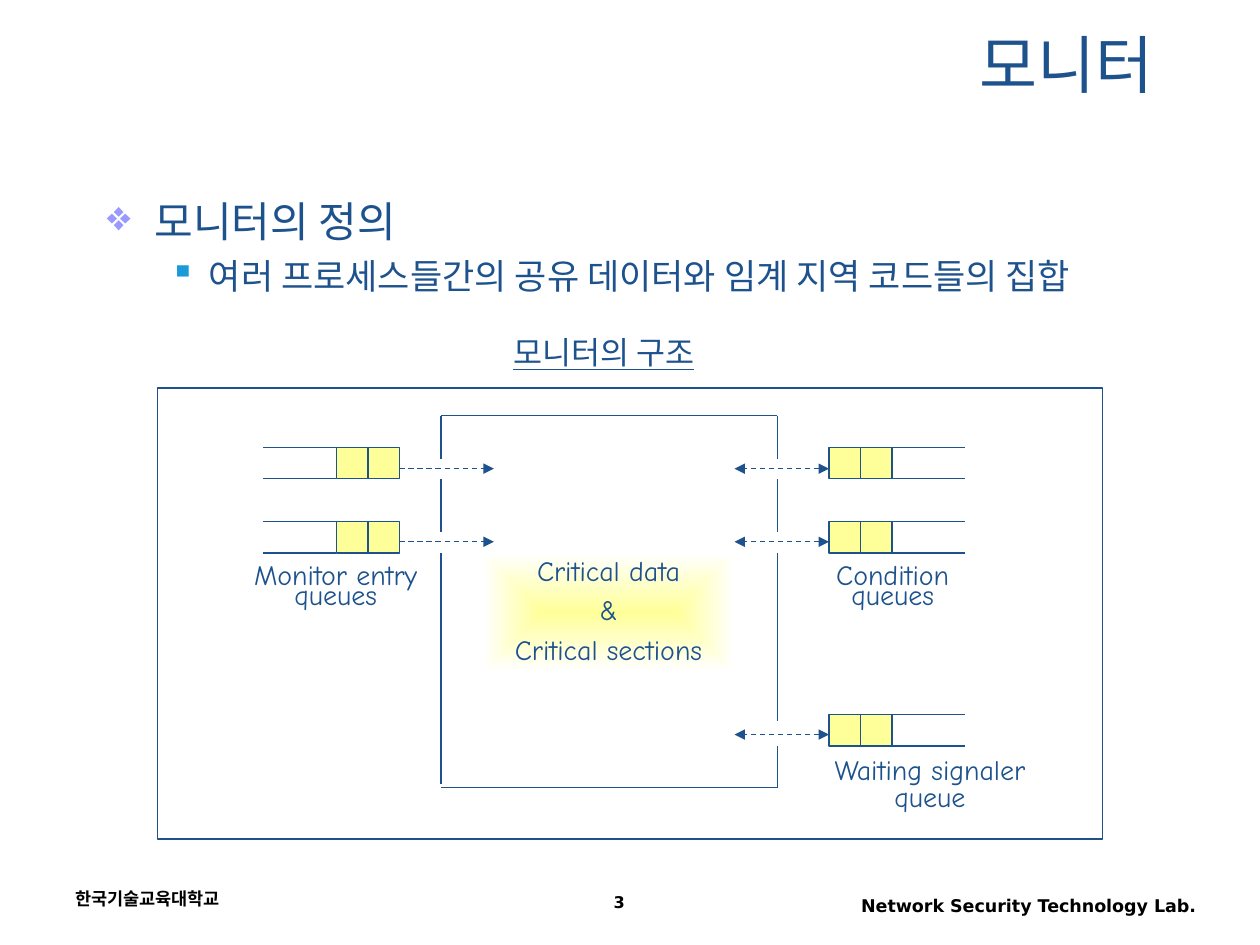
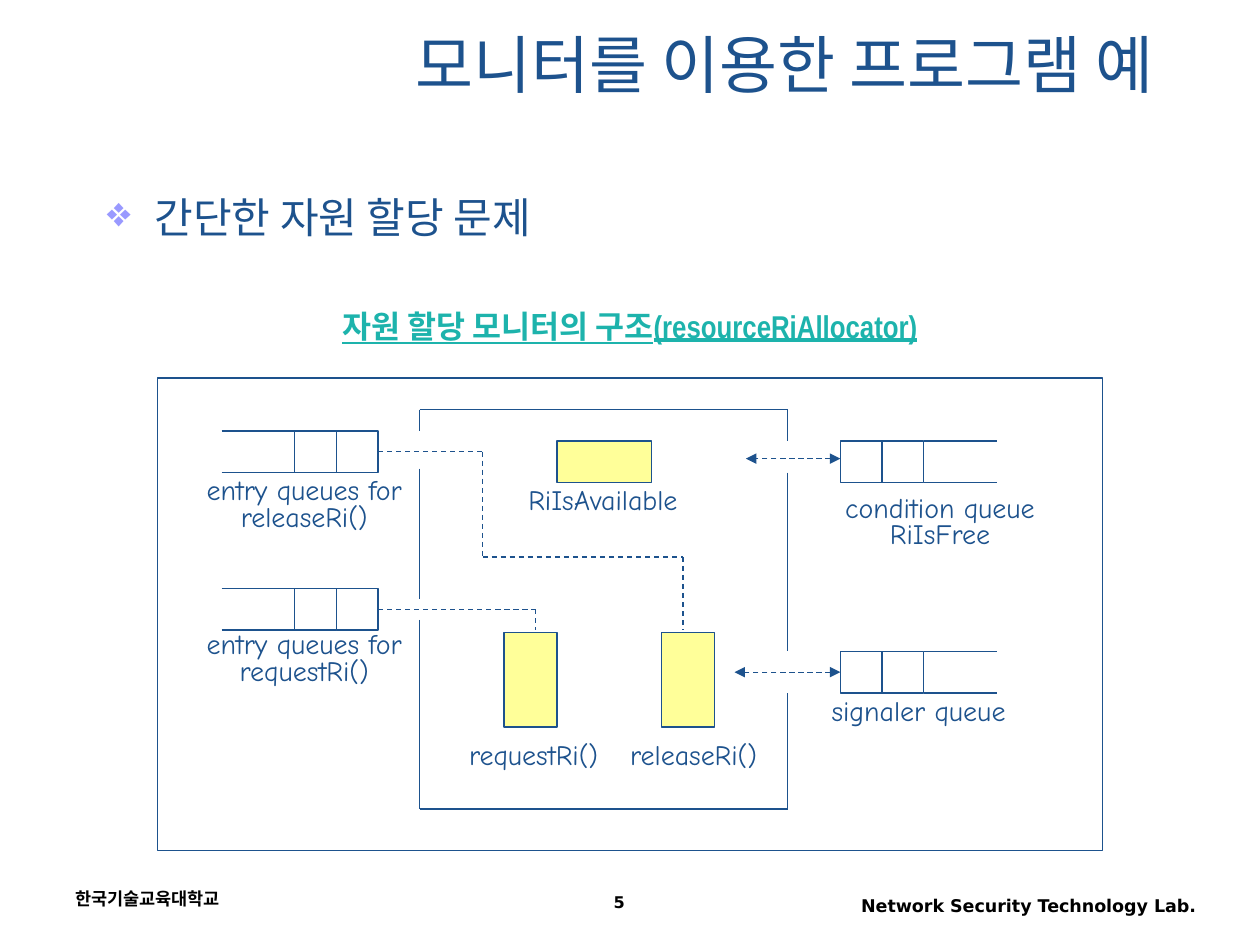
from lxml import etree
from pptx import Presentation
from pptx.dml.color import RGBColor
from pptx.enum.dml import MSO_LINE
from pptx.enum.shapes import MSO_CONNECTOR, MSO_SHAPE
from pptx.enum.text import MSO_ANCHOR, PP_ALIGN
from pptx.oxml.ns import qn
from pptx.util import Inches, Pt

# Shared look
COLORS = {"navy": "1D528D", "teal": "1DB3AC", "yellow": "FFFF99", "white": "FFFFFF",
          "black": "000000", "lilac": "9999FF", "sky": "1B9AD9"}
KOREAN, FOOTER, HEADING, LABEL = "Noto Sans CJK KR", "DejaVu Sans", "Arial Narrow", "Comic Neue"
ALIGN = {"left": PP_ALIGN.LEFT, "center": PP_ALIGN.CENTER, "right": PP_ALIGN.RIGHT}
# Body levels: mark, mark colour, text size, left margin, hanging indent, space before
LEVELS = [("❖", "lilac", 24, 0.38, 0.38, 6), ("▪", "sky", 20, 0.81, 0.31, 5)]
RAIL = 0.58  # length of the open end of a queue

# Queues: side, left of cells, top, exit height (None = middle), heads, and the
# path from the cell as alternating horizontal and vertical targets
# Labels: text, box, line spacing, wrap
PAGES = [
    {
        "number": "3",
        "title": "모니터",
        "body_box": (0.75, 1.5, 8.67, 0.92),
        "body": ["모니터의 정의", "여러 프로세스들간의 공유 데이터와 임계 지역 코드들의 집합"],
        "heading": ("모니터의 구조", (3.33, 2.67, 2.92, 0.25), {"color": "navy"}),
        "frame": (1.25, 3.08, 7.5, 3.58),
        "chamber": {
            "left": 3.5, "right": 6.17, "top": 3.3, "bottom": 6.25,
            "left_walls": [(3.3, 3.64), (3.8, 4.22), (4.39, 6.22)],
            "right_walls": [(3.3, 3.64), (3.8, 4.22), (4.39, 5.72), (5.92, 6.25)],
        },
        "cell": 0.25,
        "cell_fill": "yellow",
        "queues": [
            ("left", 2.67, 3.55, 3.72, "far", [3.92]),
            ("left", 2.67, 4.14, 4.3, "far", [3.92]),
            ("right", 6.58, 3.55, 3.72, "both", [5.83]),
            ("right", 6.58, 4.14, 4.3, "both", [5.83]),
            ("right", 6.58, 5.67, 5.83, "both", [5.83]),
        ],
        "blocks": [],
        "glow": ((3.83, 4.39, 2, 0.94),
                 [("Critical data", 0.8), ("&", 0.6), ("Critical sections", 0.7)]),
        "labels": [
            ("Monitor entry queues", (1.83, 4.47, 1.67, 0.42), 0.6, True),
            ("Condition queues", (6.42, 4.47, 1.33, 0.42), 0.6, True),
            ("Waiting signaler queue", (6.42, 5.97, 1.92, 0.53), 0.8, True),
        ],
    },
    {
        "number": "5",
        "title": "모니터를 이용한 프로그램 예",
        "body_box": (0.75, 1.47, 8.5, 0.67),
        "body": ["간단한 자원 할당 문제"],
        "heading": ("자원 할당 모니터의 구조(resourceRiAllocator)", (2.25, 2.42, 5.5, 0.33),
                    {"color": "teal", "bold": True}),
        "frame": (1.25, 3, 7.5, 3.75),
        "chamber": {
            "left": 3.33, "right": 6.25, "top": 3.25, "bottom": 6.42,
            "left_walls": [(3.25, 3.42), (3.72, 4.75), (4.92, 6.42)],
            "right_walls": [(3.25, 3.5), (3.75, 5.17), (5.5, 6.42)],
        },
        "cell": 0.33,
        "cell_fill": None,
        "queues": [
            ("left", 2.34, 3.42, None, "none", [3.83, 4.42, 5.42, 5]),
            ("left", 2.34, 4.67, None, "none", [4.25, 5]),
            ("right", 6.67, 3.5, 3.64, "both", [5.92]),
            ("right", 6.67, 5.17, None, "both", [5.83]),
        ],
        "blocks": [(4.42, 3.5, 0.75, 0.33), (4, 5.02, 0.42, 0.75), (5.25, 5.02, 0.42, 0.75)],
        "glow": None,
        "labels": [
            ("entry queues for releaseRi()", (1.5, 3.75, 1.83, 0.53), 0.8, True),
            ("entry queues for requestRi()", (1.5, 4.97, 1.83, 0.53), 0.8, True),
            ("condition queue RiIsFree", (6.42, 3.89, 2.08, 0.53), 0.8, True),
            ("signaler queue", (6.33, 5.5, 1.92, 0.32), 0.8, True),
            ("RiIsAvailable", (4.09, 3.83, 1.39, 0.32), 0.8, False),
            ("requestRi()", (3.62, 5.85, 1.23, 0.32), 0.8, False),
            ("releaseRi()", (4.9, 5.85, 1.21, 0.32), 0.8, False),
        ],
    },
]


def rgb(name):
    return RGBColor.from_string(COLORS[name])


# Text
def write(para, text, size=16, font=LABEL, color="navy", bold=False, underline=False,
          align="left", spacing=None, before=0):
    para.alignment = ALIGN[align]
    para.space_before = Pt(before)
    if spacing:
        para.line_spacing = spacing
    span = para.add_run()
    span.text = text
    span.font.size, span.font.name = Pt(size), font
    span.font.bold, span.font.underline = bold, underline
    span.font.color.rgb = rgb(color)
    east_asian = etree.SubElement(span.font._element, qn("a:ea"))
    east_asian.set("typeface", KOREAN)


def add_text(page, text, area, anchor=MSO_ANCHOR.TOP, wrap=True, **style):
    box = page.shapes.add_textbox(*map(Inches, area))
    frame = box.text_frame
    frame.word_wrap, frame.vertical_anchor = wrap, anchor
    write(frame.paragraphs[0], text, **style)


def add_body(page, lines, area):
    frame = page.shapes.add_textbox(*map(Inches, area)).text_frame
    frame.word_wrap = True
    for level, text in enumerate(lines):
        mark, mark_color, size, margin, hanging, before = LEVELS[level]
        para = frame.add_paragraph() if level else frame.paragraphs[0]
        para.level = level
        properties = para._p.get_or_add_pPr()
        properties.set("marL", str(Inches(margin)))
        properties.set("indent", str(-Inches(hanging)))
        tint = etree.SubElement(properties, qn("a:buClr"))
        etree.SubElement(tint, qn("a:srgbClr")).set("val", COLORS[mark_color])
        etree.SubElement(properties, qn("a:buChar")).set("char", mark)
        write(para, text, size=size, font=KOREAN, before=before if level else 0)


# Shapes and lines
def add_rectangle(page, area, fill=None, outlined=True):
    shape = page.shapes.add_shape(MSO_SHAPE.RECTANGLE, *map(Inches, area))
    shape.shadow.inherit = False
    if fill:
        shape.fill.solid()
        shape.fill.fore_color.rgb = rgb(fill)
    else:
        shape.fill.background()
    if outlined:
        shape.line.color.rgb = rgb("navy")
        shape.line.width = Pt(0.75)
    else:
        shape.line.fill.background()
    return shape


def add_line(page, start, end, dashed=False, heads=()):
    line = page.shapes.add_connector(MSO_CONNECTOR.STRAIGHT, *map(Inches, (*start, *end)))
    line.line.color.rgb = rgb("navy")
    line.line.width = Pt(0.75)
    if dashed:
        line.line.dash_style = MSO_LINE.DASH
    for head in heads:
        etree.SubElement(line.line._get_or_add_ln(), qn(f"a:{head}")).set("type", "triangle")
    etree.SubElement(line._element.spPr, qn("a:effectLst"))
    return line


def add_glow(page, area, lines):
    shape = add_rectangle(page, area, outlined=False)
    shape.fill.gradient()
    for stop, color in zip(shape.fill.gradient_stops, ("yellow", "white")):
        stop.color.rgb = rgb(color)
    gradient = shape._element.spPr.find(qn("a:gradFill"))
    gradient.remove(gradient.find(qn("a:lin")))
    spread = etree.SubElement(gradient, qn("a:path"))
    spread.set("path", "rect")
    center = etree.SubElement(spread, qn("a:fillToRect"))
    for edge in "ltrb":
        center.set(edge, "50000")
    frame = shape.text_frame
    frame.word_wrap, frame.vertical_anchor = True, MSO_ANCHOR.MIDDLE
    for index, (text, spacing) in enumerate(lines):
        para = frame.add_paragraph() if index else frame.paragraphs[0]
        write(para, text, align="center", spacing=spacing, before=10 if index else 0)


# Diagram parts
def add_chamber(page, chamber):
    for side in ("left", "right"):
        for top, bottom in chamber[f"{side}_walls"]:
            add_line(page, (chamber[side], top), (chamber[side], bottom))
    for edge in ("top", "bottom"):
        add_line(page, (chamber["left"], chamber[edge]), (chamber["right"], chamber[edge]))


def add_queue(page, size, fill, side, left, top, exit_y, heads, moves):
    cells = [add_rectangle(page, (left + index * size, top, size, size), fill)
             for index in range(2)]
    right = left + 2 * size
    rail = (left - RAIL, left) if side == "left" else (right, right + RAIL)
    for y in (top, top + size):
        add_line(page, (rail[0], y), (rail[1], y))

    # The path leaves the cell that faces the chamber
    point = (right if side == "left" else left, exit_y or top + size / 2)
    ends = {"none": (), "far": ("tailEnd",), "both": ("headEnd", "tailEnd")}[heads]
    for step, target in enumerate(moves):
        following = (point[0], target) if step % 2 else (target, point[1])
        line = add_line(page, point, following, dashed=True, heads=ends)
        if step == 0 and exit_y is None:
            if side == "left":
                line.begin_connect(cells[1], 3)
            else:
                line.begin_connect(cells[0], 1)
        point = following


def add_page(deck, content):
    page = deck.slides.add_slide(deck.slide_layouts[6])
    # Footer and title
    footer = {"font": FOOTER, "color": "black", "bold": True}
    add_text(page, "한국기술교육대학교", (0.5, 7, 2.33, 0.33), size=10, **footer)
    add_text(page, "Network Security Technology Lab.", (6.42, 7.05, 3.17, 0.32),
             size=10, align="right", **footer)
    add_text(page, content["number"], (3.75, 7.05, 2.33, 0.28),
             size=9.2, align="center", spacing=0.9, **footer)
    add_text(page, content["title"], (0.75, 0.17, 8.5, 0.66), anchor=MSO_ANCHOR.MIDDLE,
             size=36, font=KOREAN, align="right")
    add_body(page, content["body"], content["body_box"])
    text, area, style = content["heading"]
    add_text(page, text, area, anchor=MSO_ANCHOR.MIDDLE, wrap=False, size=18,
             font=HEADING, underline=True, align="center", **style)
    # Diagram
    add_rectangle(page, content["frame"])
    add_chamber(page, content["chamber"])
    for queue in content["queues"]:
        add_queue(page, content["cell"], content["cell_fill"], *queue)
    for area in content["blocks"]:
        add_rectangle(page, area, "yellow")
    for text, area, spacing, wrap in content["labels"]:
        add_text(page, text, area, anchor=MSO_ANCHOR.MIDDLE, wrap=wrap,
                 align="center", spacing=spacing)
    if content["glow"]:
        add_glow(page, *content["glow"])


def main():
    deck = Presentation()
    deck.slide_width, deck.slide_height = Inches(10), Inches(7.5)
    for content in PAGES:
        add_page(deck, content)
    deck.save("out.pptx")


if __name__ == "__main__":
    main()
